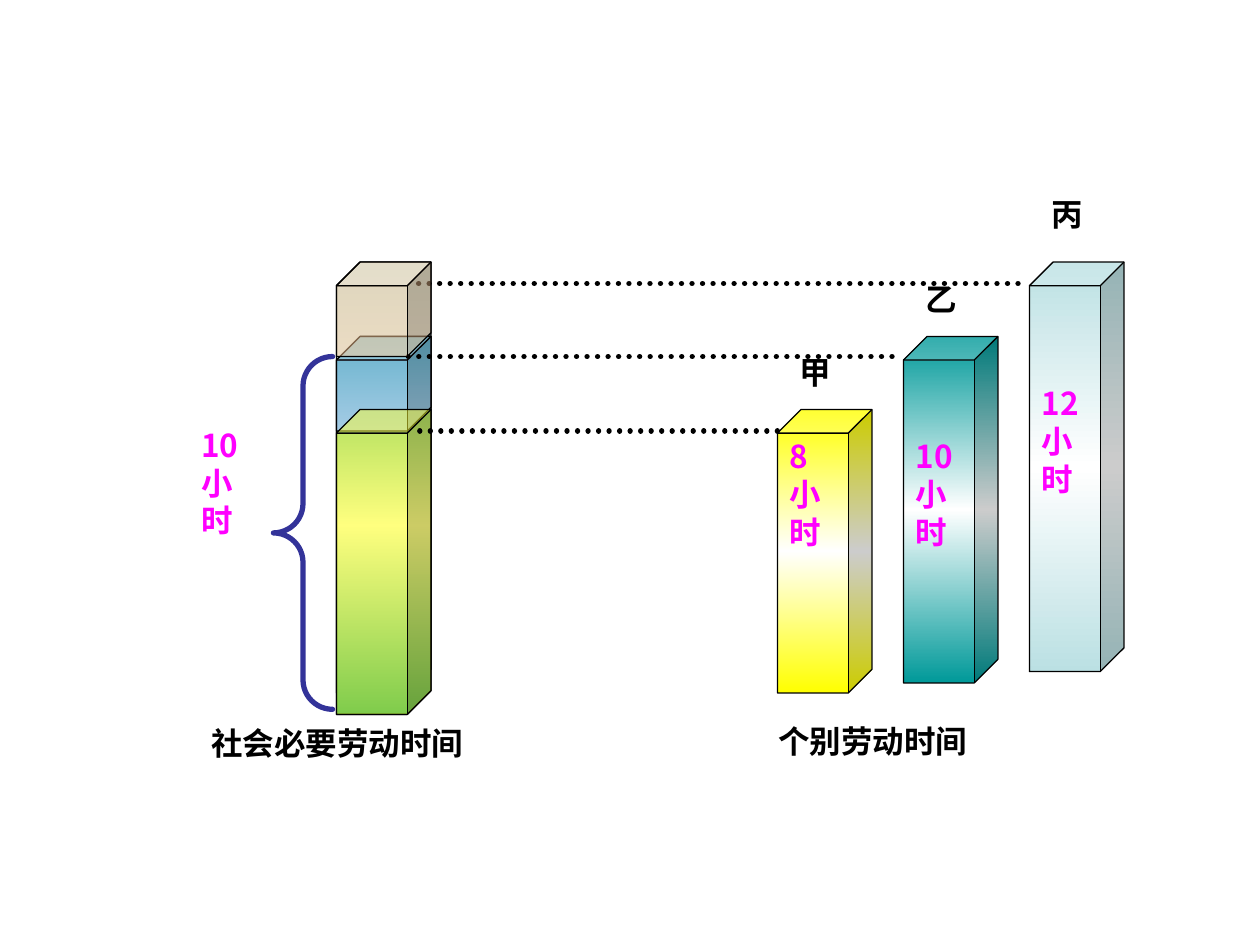
from copy import deepcopy
from dataclasses import dataclass, field
from typing import NamedTuple, Optional

from lxml import etree
from pptx import Presentation
from pptx import util as u
from pptx.dml.color import RGBColor
from pptx.enum import dml, shapes, text
from pptx.oxml.ns import qn


@dataclass(frozen=True)
class Theme:
    ink: str = "000000"
    hours: str = "FF00FF"
    brace: str = "333399"
    pale: str = "BBE0E3"
    teal: str = "009999"
    yellow: str = "FFFF00"
    lilac: str = "CCCCFF"
    peach: str = "FFCC99"
    glow: str = "FFFFFF"
    label_font: str = "Arial"
    hours_font: str = "Noto Sans CJK SC"
    text_size: float = 18
    outline: float = 0.75
    stroke: float = 3


THEME = Theme()


class Box(NamedTuple):
    left: float
    top: float
    width: float
    height: float

    def lengths(self) -> list:
        return [u.Inches(value) for value in self]


@dataclass(frozen=True)
class Bar:
    box: Box
    color: str
    opacity: Optional[int] = None


@dataclass(frozen=True)
class Label:
    words: str
    box: Box
    wrap: bool = True
    style: dict = field(default_factory=lambda: LABEL_STYLE)


@dataclass(frozen=True)
class Guide:
    y: float
    start: float
    end: float


LABEL_STYLE = {"name": THEME.label_font, "color": THEME.ink}
HOURS_STYLE = {"name": THEME.hours_font, "color": THEME.hours}
BAR_WIDTH = 0.75
STACK_LEFT = 2.67
LEVELS = (2.08, 2.67, 3.25)


def set_all(target, values: dict) -> None:
    for name, value in values.items():
        setattr(target, name, value)


def style_line(line, color: str, width: float, rounded: bool = False) -> None:
    line.color.rgb = RGBColor.from_string(color)
    line.width = u.Pt(width)
    if rounded:
        line._get_or_add_ln().set("cap", "rnd")


def glow_fill(fill, color: str) -> None:
    fill.gradient()
    fill.gradient_angle = 90
    for stop in fill.gradient_stops:
        stop.color.rgb = RGBColor.from_string(color)
    first = fill.gradient_stops[0]._gs
    first.addnext(deepcopy(first))
    middle = fill.gradient_stops[1]
    middle.position = 0.5
    middle.color.rgb = RGBColor.from_string(THEME.glow)


def clear_fill(fill, color: str, opacity: int) -> None:
    fill.solid()
    fill.fore_color.rgb = RGBColor.from_string(color)
    rgb = fill._xPr.find(qn("a:solidFill"))[0]
    etree.SubElement(rgb, qn("a:alpha"), val=str(opacity * 1000))


def draw_bar(slide, bar: Bar) -> None:
    cube = slide.shapes.add_shape(shapes.MSO_SHAPE.CUBE, *bar.box.lengths())
    cube.shadow.inherit = False
    cube.adjustments[0] = 0.25
    if bar.opacity is None:
        glow_fill(cube.fill, bar.color)
    else:
        clear_fill(cube.fill, bar.color, bar.opacity)
    style_line(cube.line, THEME.ink, THEME.outline)


def draw_label(slide, label: Label) -> None:
    frame = slide.shapes.add_textbox(*label.box.lengths()).text_frame
    set_all(frame, {"word_wrap": label.wrap,
                    "auto_size": text.MSO_AUTO_SIZE.SHAPE_TO_FIT_TEXT})
    run = frame.paragraphs[0].add_run()
    run.text = label.words
    set_all(run.font, {"name": label.style["name"], "bold": True,
                       "size": u.Pt(THEME.text_size)})
    run.font.color.rgb = RGBColor.from_string(label.style["color"])


def draw_guide(slide, guide: Guide) -> None:
    dots = slide.shapes.add_connector(
        shapes.MSO_CONNECTOR.STRAIGHT, u.Inches(guide.start), u.Inches(guide.y),
        u.Inches(guide.end), u.Inches(guide.y))
    style_line(dots.line, THEME.ink, THEME.stroke, rounded=True)
    dots.line.dash_style = dml.MSO_LINE.ROUND_DOT
    etree.SubElement(dots._element.spPr, qn("a:effectLst"))


def draw_brace(slide, box: Box) -> None:
    brace = slide.shapes.add_shape(shapes.MSO_SHAPE.LEFT_BRACE, *box.lengths())
    brace.shadow.inherit = False
    brace.adjustments[0] = 0.496
    brace.adjustments[1] = 0.5
    brace.fill.background()
    style_line(brace.line, THEME.brace, THEME.stroke, rounded=True)


def stacked(level: int, height: float, color: str,
            opacity: Optional[int] = None) -> Bar:
    return Bar(Box(STACK_LEFT, LEVELS[level], BAR_WIDTH, height), color, opacity)


def single(order: int, height: float, color: str) -> Bar:
    return Bar(Box(6.17 + order, LEVELS[2 - order], BAR_WIDTH, height), color)


BACK_BARS = [
    stacked(0, 3.42, THEME.pale),
    single(0, 2.25, THEME.yellow),
    single(1, 2.75, THEME.teal),
    single(2, 3.25, THEME.pale),
]
WORKER_LABELS = [
    Label("甲", Box(6.25, 2.75, 0.58, 0.63)),
    Label("乙", Box(7.25, 2.17, 0.58, 0.63)),
    Label("丙", Box(8.25, 1.5, 0.75, 0.63)),
    Label("8小时", Box(6.17, 3.42, 0.58, 1.7), style=HOURS_STYLE),
    Label("10小时", Box(7.17, 3.42, 0.67, 1.7), style=HOURS_STYLE),
    Label("12小时", Box(8.17, 3, 0.67, 1.7), style=HOURS_STYLE),
]
FRONT_BARS = [
    stacked(1, 3, THEME.teal),
    stacked(1, 0.75, THEME.lilac, 50),
    stacked(2, 2.42, THEME.yellow, 50),
]
SUMMARY_LABELS = [
    Label("10小时", Box(1.5, 3.33, 0.67, 1.7), style=HOURS_STYLE),
    Label("社会必要劳动时间", Box(1.58, 5.7, 3.77, 0.63), wrap=False),
    Label("个别劳动时间", Box(6.08, 5.68, 2.88, 0.63), wrap=False),
]
GUIDES = [Guide(3.42, 6.17, 3.25), Guide(2.83, 7.08, 3.17), Guide(2.25, 8.08, 3.25)]


def main() -> None:
    deck = Presentation()
    set_all(deck, {"slide_width": u.Inches(10), "slide_height": u.Inches(7.5)})
    slide = deck.slides.add_slide(deck.slide_layouts[6])
    layers = [
        (draw_bar, BACK_BARS),
        (draw_label, WORKER_LABELS),
        (draw_bar, FRONT_BARS),
        (draw_label, SUMMARY_LABELS),
        (draw_guide, GUIDES),
        (draw_bar, [stacked(0, 0.75, THEME.peach, 50)]),
        (draw_brace, [Box(2.17, 2.83, 0.47, 2.8)]),
    ]
    for draw, items in layers:
        for item in items:
            draw(slide, item)
    deck.save("out.pptx")


if __name__ == "__main__":
    main()
